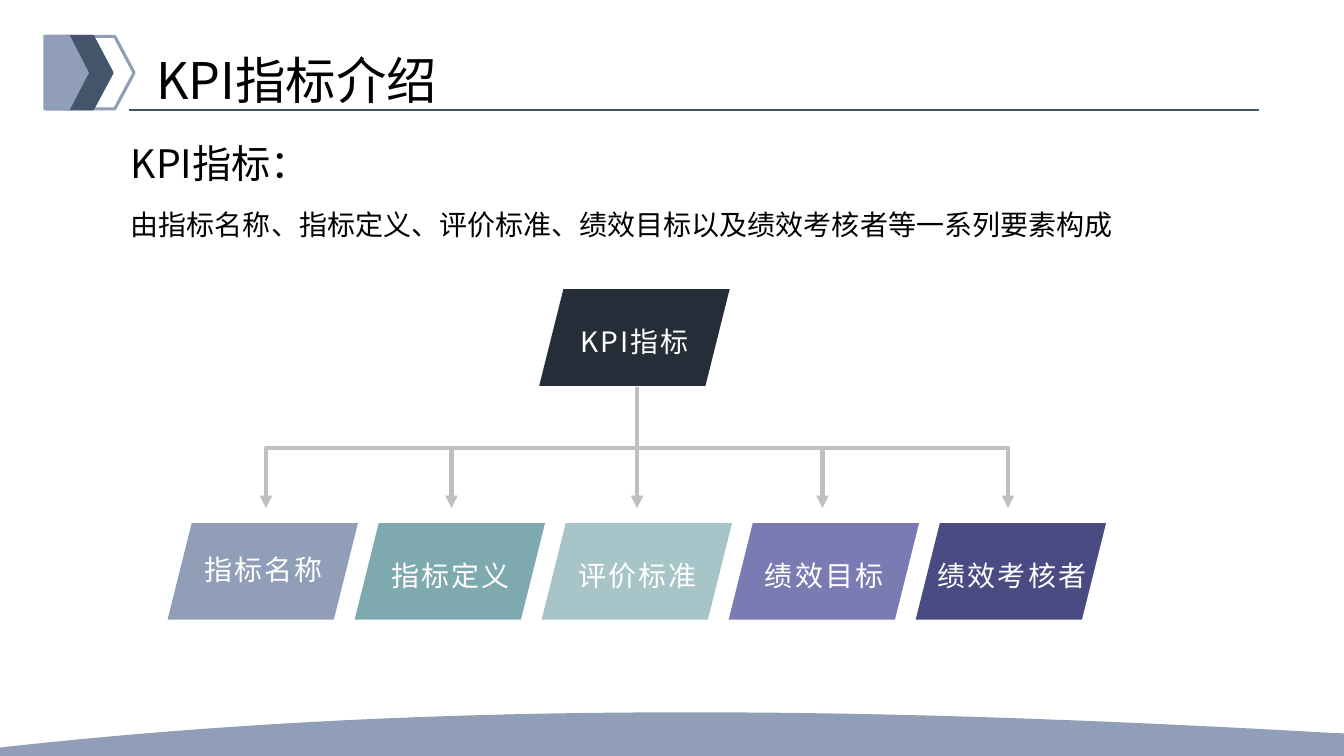
from lxml.etree import SubElement
from pptx import Presentation
from pptx.dml.color import RGBColor
from pptx.enum.shapes import MSO_CONNECTOR, MSO_SHAPE
from pptx.enum.text import MSO_ANCHOR, PP_ALIGN
from pptx.oxml.ns import qn
from pptx.util import Pt

BLACK = RGBColor(0x00, 0x00, 0x00)
WHITE = RGBColor(0xFF, 0xFF, 0xFF)
SLATE = RGBColor(0x44, 0x54, 0x6A)
MIST = RGBColor(0x90, 0x9E, 0xB8)
NAVY = RGBColor(0x25, 0x2D, 0x39)
TEAL = RGBColor(0x7D, 0xA9, 0xAF)
PALE_TEAL = RGBColor(0xA7, 0xC5, 0xC9)
VIOLET = RGBColor(0x7A, 0x7B, 0xB3)
INDIGO = RGBColor(0x4A, 0x4B, 0x82)
GRAY = RGBColor(0xBF, 0xBF, 0xBF)

HEADING = {"line_spacing": 0.9}
BODY = {"line_spacing": 1.2}
BODY_NEXT = {"line_spacing": 1.2, "space_before": Pt(10)}
LABEL = {"line_spacing": 1.2, "alignment": PP_ALIGN.CENTER}


def curve(start, first, second, end, steps=40):
    """Return the points of a cubic curve after its start."""
    points = []
    for step in range(1, steps + 1):
        t = step / steps
        weights = ((1 - t) ** 3, 3 * t * (1 - t) ** 2, 3 * t * t * (1 - t), t ** 3)
        points.append(tuple(
            sum(weight * point[axis] for weight, point in zip(weights, (start, first, second, end)))
            for axis in (0, 1)))
    return points


class SlideBuilder:
    """Draw elements on one slide in a shared style, with lengths in points."""

    font_name = "Noto Sans CJK SC"

    def __init__(self, slide):
        self.slide = slide

    def paint(self, shape, fill=None, line=None, width=0):
        shape.shadow.inherit = False
        if fill is None:
            shape.fill.background()
        else:
            shape.fill.solid()
            shape.fill.fore_color.rgb = fill
        if line is None:
            shape.line.fill.background()
        else:
            shape.line.color.rgb = line
            shape.line.width = Pt(width)

    def outline(self, points, **paint):
        corners = [(Pt(x), Pt(y)) for x, y in points]
        builder = self.slide.shapes.build_freeform(*corners[0])
        builder.add_line_segments(corners[1:], close=True)
        self.paint(builder.convert_to_shape(), **paint)

    def parallelogram(self, left, top, fill):
        shape = self.slide.shapes.add_shape(
            MSO_SHAPE.PARALLELOGRAM, Pt(left), Pt(top), Pt(136), Pt(69))
        self.paint(shape, fill)

    def connector(self, start, end, color, width, kind=MSO_CONNECTOR.STRAIGHT, arrow=False):
        connector = self.slide.shapes.add_connector(
            kind, *(Pt(value) for value in (*start, *end)))
        connector.line.color.rgb = color
        connector.line.width = Pt(width)
        if arrow:
            SubElement(connector.line._get_or_add_ln(), qn("a:tailEnd"), type="triangle")
        SubElement(connector._element.spPr, qn("a:effectLst"))
        return connector

    def elbow_down(self, start, end, color, width):
        (x1, y1), (x2, y2) = start, end
        center_x, center_y = (x1 + x2) / 2, (y1 + y2) / 2
        half_width, half_height = (y2 - y1) / 2, (x2 - x1) / 2
        connector = self.connector(
            (center_x - half_width, center_y + half_height),
            (center_x + half_width, center_y - half_height),
            color, width, MSO_CONNECTOR.ELBOW, arrow=True)
        connector._element.spPr.find(qn("a:xfrm")).set("rot", "5400000")

    def text(self, box, lines, color, anchor=MSO_ANCHOR.MIDDLE, inset=7.2, spacing=None):
        frame = self.slide.shapes.add_textbox(*(Pt(value) for value in box)).text_frame
        frame_format = {"word_wrap": True, "vertical_anchor": anchor,
                        "margin_left": Pt(inset), "margin_right": Pt(inset)}
        for name, value in frame_format.items():
            setattr(frame, name, value)
        for index, (words, size, paragraph_format) in enumerate(lines):
            paragraph = frame.add_paragraph() if index else frame.paragraphs[0]
            for name, value in paragraph_format.items():
                setattr(paragraph, name, value)
            run = paragraph.add_run()
            run.text = words
            for name, value in {"size": Pt(size), "name": self.font_name}.items():
                setattr(run.font, name, value)
            run.font.color.rgb = color
            properties = run._r.get_or_add_rPr()
            SubElement(properties, qn("a:ea"), typeface=self.font_name)
            if spacing:
                properties.set("spc", str(spacing))

    def label(self, left, top, words, width=110):
        self.text((left, top, width, 47.5), [(words, 20, LABEL)], WHITE, inset=0, spacing=150)


def main():
    """Build the KPI slide and save it."""
    presentation = Presentation()
    presentation.slide_width = Pt(960)
    presentation.slide_height = Pt(540)
    builder = SlideBuilder(presentation.slides.add_slide(presentation.slide_layouts[6]))

    builder.outline([(46.8, 26), (82, 26), (95.8, 52), (82, 77.8), (46.8, 77.8), (33.1, 52)],
                    line=MIST, width=2.25)
    builder.outline([(33.1, 26), (66.2, 26), (80, 52), (66.2, 77.8), (33.1, 77.8)],
                    fill=SLATE, line=SLATE, width=2.25)
    builder.outline([(31, 25), (49.7, 25), (63.5, 52), (49.7, 78.7), (31, 78.7)], fill=MIST)
    builder.connector((92.2, 78.5), (899.3, 78.5), SLATE, 1.5)

    crest, right_end, left_end = (492.5, 508.8), (949, 523.4), (4.3, 533.5)
    builder.outline(
        [crest, *curve(crest, (644.4, 508.8), (796.3, 514.8), right_end),
         (960, 523.9), (960, 540), (0, 540), (0, 534),
         left_end, *curve(left_end, (167, 515.5), (329.8, 508.8), crest)], fill=MIST)

    builder.text((104.4, 23, 828, 72.7), [("KPI指标介绍", 36, HEADING)], BLACK)
    builder.text((86.4, 89.3, 828, 144),
                 [("KPI指标：", 28, BODY),
                  ("由指标名称、指标定义、评价标准、绩效目标以及绩效考核者等一系列要素构成", 20, BODY_NEXT)],
                 BLACK, MSO_ANCHOR.TOP)

    elements = [("指标名称", MIST, 380.2, 110), ("指标定义", TEAL, 384.5, 110),
                ("评价标准", PALE_TEAL, 384.5, 110), ("绩效目标", VIOLET, 384.5, 110),
                ("绩效考核者", INDIGO, 384.5, 122.4)]
    builder.parallelogram(385.2, 206.6, NAVY)
    for column, (words, fill, top, width) in enumerate(elements):
        builder.parallelogram(119.7 + 133.6 * column, 373.7, fill)

    trunk, bar_top, arrow_tip = (455, 276.5), 319.2, 363
    arrow_columns = [190 + 132.5 * column for column in range(5)]
    for x in (arrow_columns[-1], arrow_columns[0]):
        builder.elbow_down(trunk, (x, arrow_tip), GRAY, 3)
    for x in arrow_columns[1:-1]:
        builder.connector((x, bar_top), (x, arrow_tip), GRAY, 3, arrow=True)

    builder.label(398.2, 217.5, "KPI指标")
    for column, (words, fill, top, width) in enumerate(elements):
        builder.label(133.2 + 133.5 * column - (width - 110) / 2 + (width > 110) * 1.2,
                      top, words, width) if width == 110 else builder.label(661.7, top, words, width)

    presentation.save("out.pptx")


if __name__ == "__main__":
    main()
